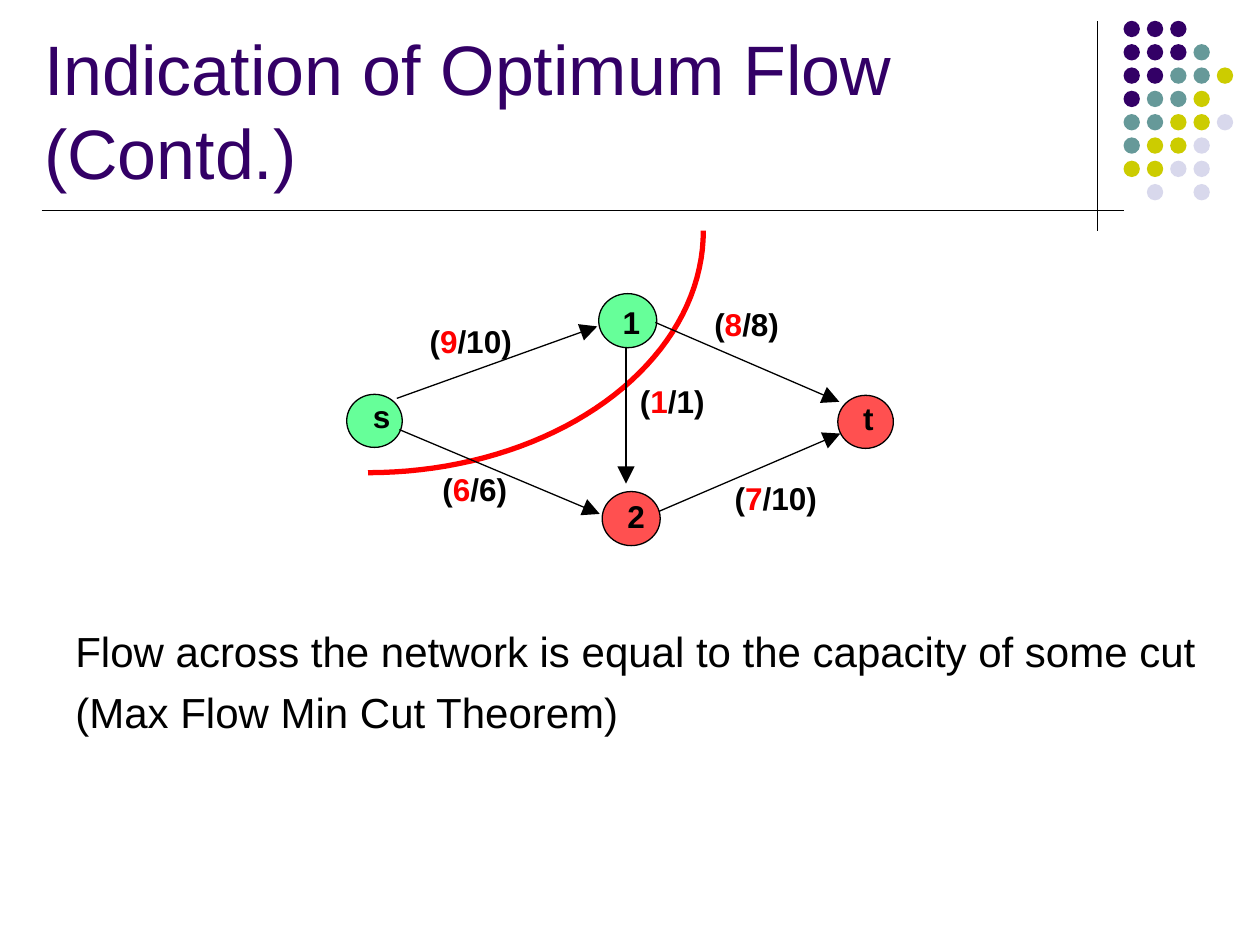
import math
from typing import NamedTuple

import pptx
import pptx.dml.color
import pptx.enum.shapes
import pptx.enum.text
import pptx.oxml
import pptx.oxml.ns
import pptx.util
from pptx.util import Cm

RGBColor = pptx.dml.color.RGBColor
BLACK = RGBColor(0x00, 0x00, 0x00)
RED = RGBColor(0xFF, 0x00, 0x00)
PURPLE = RGBColor(0x33, 0x00, 0x66)
TEAL = RGBColor(0x66, 0x99, 0x99)
YELLOW = RGBColor(0xCC, 0xCC, 0x00)
LAVENDER = RGBColor(0xD8, 0xD8, 0xEC)
SOURCE_GREEN = RGBColor(0x66, 0xFF, 0x99)
SINK_RED = RGBColor(0xFF, 0x50, 0x50)

FONT = "Arial"
THIN = 0.75
DOT_SIZE = 0.33
DOT_PITCH = 0.47
DOT_COLORS = {"P": PURPLE, "T": TEAL, "Y": YELLOW, "L": LAVENDER}
DOT_ROWS = ["PPP", "PPPT", "PPTTY", "PTTY", "TTYYL", "TYYL", "YYLL", " L L"]


# Lengths in these records are centimetres
class Node(NamedTuple):
    name: str
    left: float
    top: float
    width: float
    height: float
    label_left: float
    label_top: float
    label_width: float
    color: RGBColor


class Edge(NamedTuple):
    start: tuple[float, float]
    end: tuple[float, float]
    flow: int
    capacity: int
    label_left: float
    label_top: float
    label_width: float


NODES = [
    Node("s", 6.99, 7.95, 1.12, 1.07, 7.52, 8.0, 0.37, SOURCE_GREEN),
    Node("1", 12.07, 5.92, 1.17, 1.09, 12.55, 6.1, 0.37, SOURCE_GREEN),
    Node("2", 12.14, 9.91, 1.17, 1.09, 12.65, 10.01, 0.37, SINK_RED),
    Node("t", 16.89, 7.97, 1.12, 1.07, 17.4, 8.05, 0.22, SINK_RED),
]
EDGES = [
    Edge((8.0, 8.03), (12.04, 6.58), 9, 10, 8.66, 6.5, 1.7),
    Edge((8.05, 8.66), (12.09, 10.36), 6, 6, 8.92, 9.47, 1.35),
    Edge((13.21, 6.5), (16.92, 8.1), 8, 8, 14.4, 6.15, 1.35),
    Edge((13.28, 10.31), (16.94, 8.74), 7, 10, 14.81, 9.65, 1.7),
    Edge((12.62, 7.01), (12.62, 9.75), 1, 1, 12.9, 7.7, 1.35),
]

presentation = pptx.Presentation()
presentation.slide_width = Cm(25.4)
presentation.slide_height = Cm(19.05)
slide = presentation.slides.add_slide(presentation.slide_layouts[6])


def add_line(start: tuple[float, float], end: tuple[float, float], arrow: bool = False) -> None:
    connector = slide.shapes.add_connector(
        pptx.enum.shapes.MSO_CONNECTOR.STRAIGHT, *map(Cm, start + end))
    connector.line.color.rgb = BLACK
    connector.line.width = pptx.util.Pt(THIN)
    properties = connector._element.spPr
    if arrow:
        head = pptx.oxml.parse_xml(
            f'<a:tailEnd {pptx.oxml.ns.nsdecls("a")} type="triangle" w="lg" len="lg"/>')
        connector.line._get_or_add_ln().append(head)
    properties.append(pptx.oxml.parse_xml(f'<a:effectLst {pptx.oxml.ns.nsdecls("a")}/>'))


def add_ellipse(left: float, top: float, width: float, height: float,
                color: RGBColor, outlined: bool) -> None:
    shape = slide.shapes.add_shape(
        pptx.enum.shapes.MSO_SHAPE.OVAL, Cm(left), Cm(top), Cm(width), Cm(height))
    shape.shadow.inherit = False
    shape.fill.solid()
    shape.fill.fore_color.rgb = color
    if outlined:
        shape.line.color.rgb = BLACK
        shape.line.width = pptx.util.Pt(THIN)
    else:
        shape.line.fill.background()


def add_text(left: float, top: float, width: float, height: float, size: int,
             paragraphs: list[list[str]], color: RGBColor = BLACK) -> pptx.text.text.TextFrame:
    """Each paragraph is a list of run texts."""
    box = slide.shapes.add_textbox(Cm(left), Cm(top), Cm(width), Cm(height))
    frame = box.text_frame
    frame.word_wrap = True
    for index, runs in enumerate(paragraphs):
        paragraph = frame.add_paragraph() if index else frame.paragraphs[0]
        paragraph.font.name = FONT
        paragraph.font.size = pptx.util.Pt(size)
        paragraph.font.color.rgb = color
        for text in runs:
            paragraph.add_run().text = text
    return frame


def add_label(left: float, top: float, width: float, runs: list[str]) -> pptx.text.text.TextFrame:
    frame = add_text(left, top, width, 0.76, 18, [runs])
    frame.word_wrap = False
    frame.auto_size = pptx.enum.text.MSO_AUTO_SIZE.SHAPE_TO_FIT_TEXT
    frame.margin_left = frame.margin_right = frame.margin_top = frame.margin_bottom = 0
    frame.paragraphs[0].font.bold = True
    return frame


# Rules and dot ornament
add_line((22.12, 0.43), (22.12, 4.65))
for row, letters in enumerate(DOT_ROWS):
    for column, letter in enumerate(letters):
        if letter in DOT_COLORS:
            add_ellipse(22.65 + column * DOT_PITCH, 0.42 + row * DOT_PITCH,
                        DOT_SIZE, DOT_SIZE, DOT_COLORS[letter], False)
add_line((0.84, 4.24), (22.66, 4.24))

# Title and statement
title = add_text(0.64, 0.84, 21.59, 3.18, 40, [["Indication of Optimum Flow (Contd.)"]], PURPLE)
title.vertical_anchor = pptx.enum.text.MSO_ANCHOR.BOTTOM
statement = add_text(1.27, 12.49, 24.13, 2.97, 24, [
    ["Flow across the network is equal to the capacity of some cut"],
    ["(Max Flow Min Cut Theorem)"],
])
for paragraph in statement.paragraphs:
    paragraph.space_before = pptx.util.Pt(6)

# Minimum cut: a quarter of an ellipse
CUT_STEPS = 40
cut_points = [
    (Cm(7.42 + 6.76 * math.sin(angle)), Cm(4.65 + 4.88 * math.cos(angle)))
    for angle in (math.pi / 2 * step / CUT_STEPS for step in range(CUT_STEPS + 1))
]
builder = slide.shapes.build_freeform(*cut_points[0])
builder.add_line_segments(cut_points[1:], close=False)
cut = builder.convert_to_shape()
cut.shadow.inherit = False
cut.fill.background()
cut.line.color.rgb = RED
cut.line.width = pptx.util.Pt(3)

# Network nodes
for node in NODES:
    add_ellipse(node.left, node.top, node.width, node.height, node.color, True)
    add_label(node.label_left, node.label_top, node.label_width, [node.name])

# Network edges with flow and capacity
for edge in EDGES:
    add_line(edge.start, edge.end, arrow=True)
    label = add_label(edge.label_left, edge.label_top, edge.label_width,
                      ["(", str(edge.flow), f"/{edge.capacity})"])
    label.paragraphs[0].runs[1].font.color.rgb = RED

presentation.save("out.pptx")
